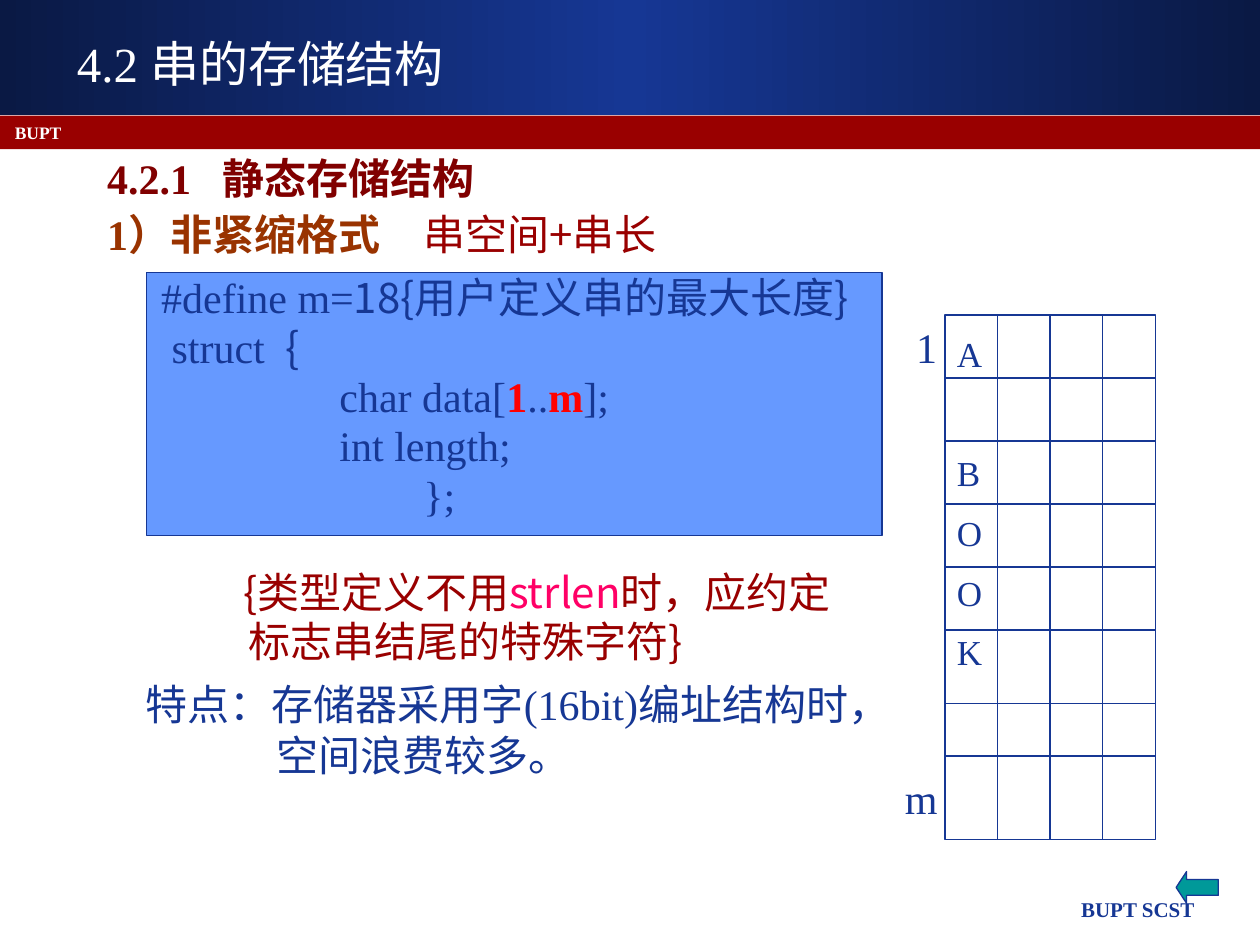
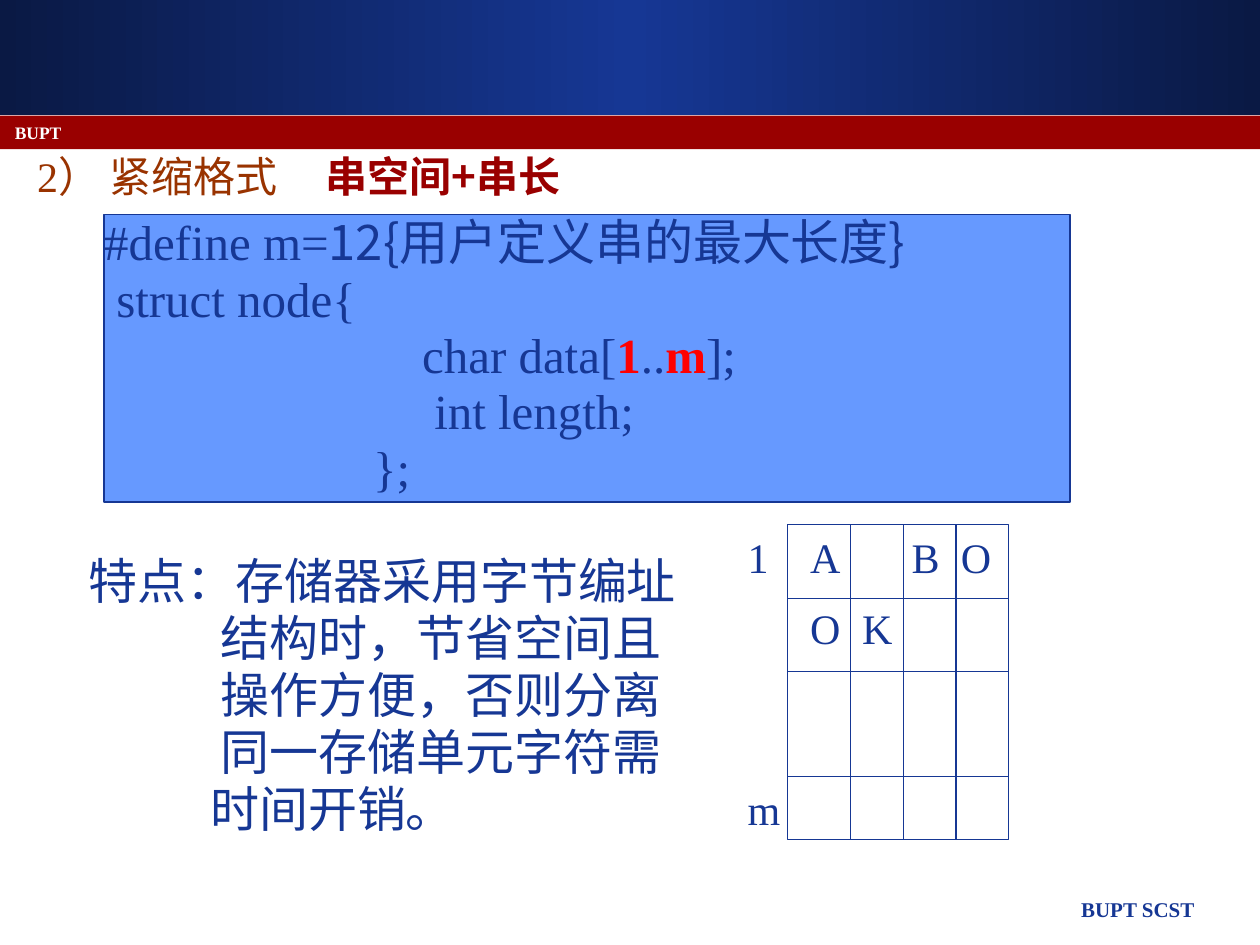
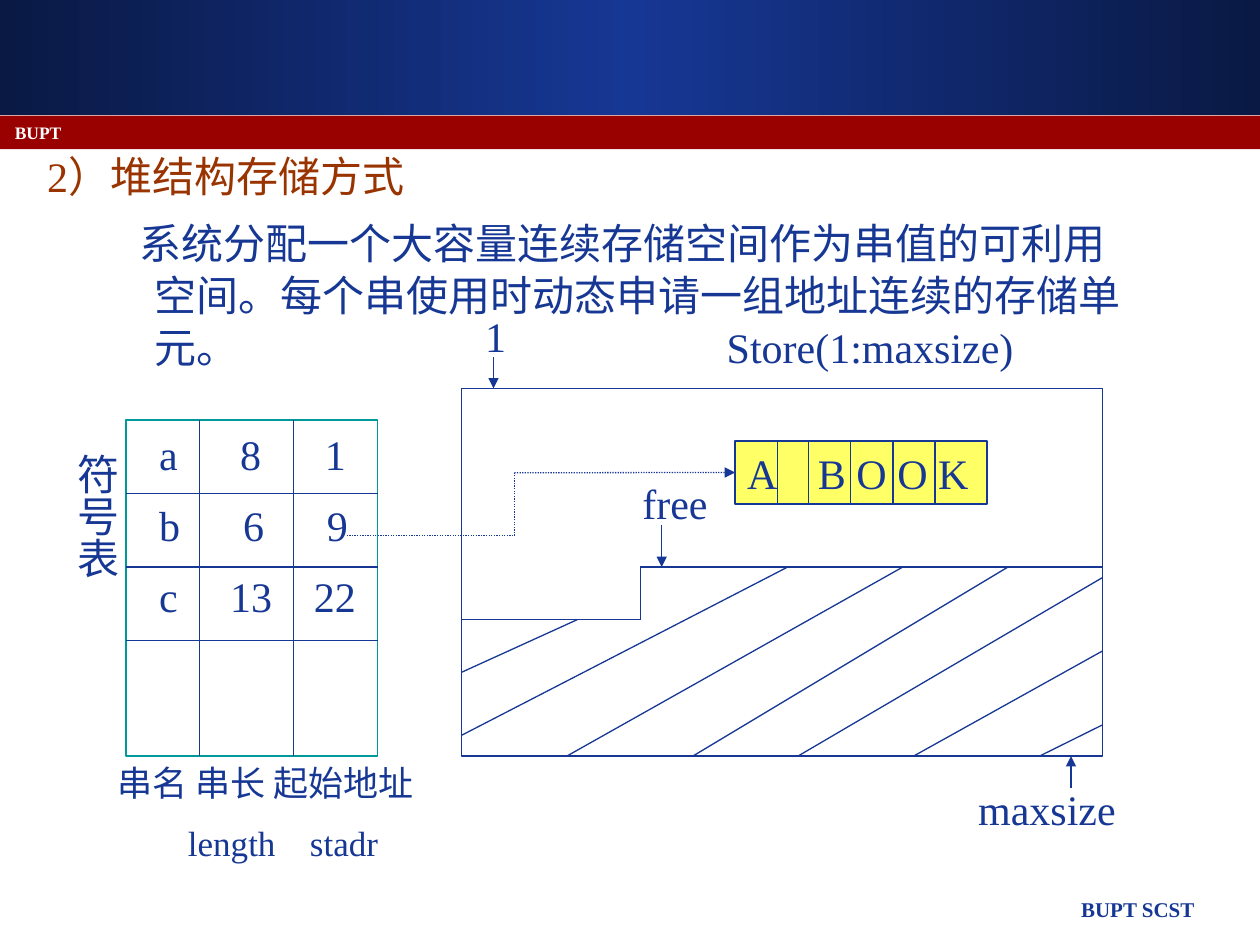
"""Builds three slides on how strings are stored: loose, packed and heap formats."""
from copy import deepcopy
from itertools import accumulate
from lxml import etree
from pptx import Presentation
from pptx import util as u
from pptx.dml.color import RGBColor
from pptx.enum import dml, shapes, text
from pptx.oxml.ns import qn

COLORS = {
    "ink": "163794", "navy": "0A1944", "white": "FFFFFF", "band": "990000",
    "maroon": "800000", "brown": "993300", "red": "FF0000", "pink": "FF0066",
    "code": "6699FF", "yellow": "FFFF66", "teal": "009999",
}
RGB = {name: RGBColor.from_string(value) for name, value in COLORS.items()}
SERIF, SANS = "Times New Roman", "Noto Sans CJK SC"
RUN_STYLE = ("ink", False, SERIF)
MIDDLE = text.MSO_ANCHOR.MIDDLE


def write(frame, paragraphs, size, spacing=None, anchor=text.MSO_ANCHOR.TOP,
          align=text.PP_ALIGN.LEFT, tabs=(), hang=0, inset=0):
    """Fill a text frame; a run is (text, color, bold, font) with trailing defaults."""
    frame.word_wrap = True
    frame.vertical_anchor = anchor
    frame.margin_left = u.Cm(inset)
    frame.margin_top = frame.margin_right = frame.margin_bottom = 0
    for index, runs in enumerate(paragraphs):
        paragraph = frame.add_paragraph() if index else frame.paragraphs[0]
        paragraph.alignment = align
        if spacing:
            paragraph.line_spacing = u.Pt(spacing)
        properties = paragraph._p.get_or_add_pPr()
        if hang:
            properties.set("marL", str(u.Cm(hang)))
            properties.set("indent", str(0 if index else -u.Cm(hang)))
        if tabs:
            tab_list = etree.SubElement(properties, qn("a:tabLst"))
            for position in tabs:
                etree.SubElement(tab_list, qn("a:tab"), pos=str(u.Cm(position)), algn="l")
        for words, *style in runs:
            color, bold, font = (*style, *RUN_STYLE[len(style):])
            run = paragraph.add_run()
            run.text = words
            run.font.size = u.Pt(size)
            run.font.bold = bold
            run.font.name = font
            run.font.color.rgb = RGB[color]
            etree.SubElement(run._r.get_or_add_rPr(), qn("a:ea"), typeface=SANS)


def add_outlined(slide, box, fill=None, outline="ink", kind=shapes.MSO_SHAPE.RECTANGLE):
    """Add a shape with an optional fill and a thin outline; None leaves either out."""
    shape = slide.shapes.add_shape(kind, *map(u.Cm, box))
    shape.shadow.inherit = False
    if fill:
        shape.fill.solid()
        shape.fill.fore_color.rgb = RGB[fill]
    else:
        shape.fill.background()
    if outline:
        shape.line.color.rgb = RGB[outline]
        shape.line.width = u.Pt(0.75)
    else:
        shape.line.fill.background()
    return shape


presentation = Presentation()
presentation.slide_width, presentation.slide_height = u.Cm(25.4), u.Cm(19.05)

titles = [
    ((1.55, 0.53, 21, 1.47), 28, [("4.2 串的存储结构", "white")], ()),
    ((0.75, 3.12, 23, 0.84), 24,
     [("2） 紧缩格式\t", "brown"), ("串空间+串长", "band", True, SANS)], (5.81,)),
    ((0.95, 3.12, 23, 0.84), 24, [("2）堆结构存储方式", "brown")], ()),
]
slides = []
for box, size, title, tabs in titles:
    slide = presentation.slides.add_slide(presentation.slide_layouts[6])
    slides.append(slide)
    header = add_outlined(slide, (0, 0, 25.4, 2.32), outline=None)
    header.fill.gradient()
    header.fill.gradient_angle = 0
    edge, center = header.fill.gradient_stops
    edge.color.rgb, center.color.rgb = RGB["navy"], RGB["ink"]
    edge.position, center.position = 0, 0.5
    stop_list = header._element.spPr.find(".//" + qn("a:gsLst"))
    right_edge = deepcopy(stop_list[0])
    right_edge.set("pos", "100000")
    stop_list.append(right_edge)
    add_outlined(slide, (0, 2.33, 25.4, 0.68), fill="band", outline=None)
    footer = slide.shapes.add_textbox(u.Cm(14), u.Cm(17.98), u.Cm(10.08), u.Cm(0.7))
    write(footer.text_frame, [[("BUPT SCST", "ink", True)]], 12, anchor=MIDDLE,
          align=text.PP_ALIGN.RIGHT)
    school = slide.shapes.add_textbox(u.Cm(0.3), u.Cm(2.36), u.Cm(10), u.Cm(0.64))
    write(school.text_frame, [[("BUPT", "white", True)]], 10, anchor=MIDDLE)
    heading = slide.shapes.add_textbox(*map(u.Cm, box))
    write(heading.text_frame, [title], size, anchor=MIDDLE, tabs=tabs)
loose, packed, heap = slides

data_members = [("1", "red", True), ("..",), ("m", "red", True), ("];",)]
code_blocks = [
    (loose, (2.96, 5.5, 14.82, 5.29), 24, 28.2, 0.29, [
        [("#define m=",), ("18{用户定义串的最大长度}", "ink", False, SANS)],
        [(" struct  ",), ("{", "ink", False, SANS)],
        [("                 char data[",), *data_members],
        [("                 int length;",)],
        [("                         };",)],
    ]),
    (packed, (2.1, 4.32, 19.47, 5.8), 28, 32.2, 0, [
        [("#define m=",), ("12{用户定义串的最大长度}", "ink", False, SANS)],
        [(" struct node{",)],
        [("                          char data[",), *data_members],
        [("                           int length;",)],
        [("                      };",)],
    ]),
]
for slide, box, size, spacing, inset, code in code_blocks:
    block = add_outlined(slide, box, fill="code")
    write(block.text_frame, code, size, spacing, inset=inset)

passages = [
    (loose, (2.16, 2.97, 18, 2.3), 24, 32, (2.32, 6.37), 0, [
        [("4.2.1\t静态存储结构", "maroon", True)],
        [("1）非紧缩格式\t", "brown", True), ("串空间+串长", "band", False, SANS)],
    ]),
    (loose, (4.9, 11.46, 13.5, 2), 24, 27.8, (), 0.12, [
        [("{类型定义不用", "band", False, SANS), ("strlen", "pink", False, SANS),
         ("时，应约定", "band", False, SANS)],
        [("标志串结尾的特殊字符}", "band", False, SANS)],
    ]),
    (loose, (2.94, 13.65, 15.8, 2.1), 24, 29.4, (), 2.64, [
        [("特点：存储器采用字(16bit)编址结构时，",)],
        [("空间浪费较多。",)],
    ]),
    (packed, (1.79, 11.13, 13, 4.6), 28, 32.6, (), 2.66, [
        [("特点：存储器采用字节编址",)],
        [("结构时，节省空间且",)],
        [("操作方便，否则分离",)],
        [("同一存储单元字符需",)],
    ]),
    (packed, (4.24, 15.73, 10, 1.15), 28, 32.6, (), 0, [[("时间开销。",)]]),
    (heap, (2.82, 4.36, 20, 3.2), 24, 29.7, (), 0.3, [
        [("系统分配一个大容量连续存储空间作为串值的可利用空间。"
          "每个串使用时动态申请一组地址连续的存储单元。",)],
    ]),
]
for slide, box, size, spacing, tabs, hang, paragraphs in passages:
    passage = slide.shapes.add_textbox(*map(u.Cm, box))
    write(passage.text_frame, paragraphs, size, spacing, tabs=tabs, hang=hang)

add_outlined(heap, (9.31, 7.83, 12.92, 7.41))
add_outlined(loose, (23.71, 17.57, 0.85, 0.64), fill="teal",
             kind=shapes.MSO_SHAPE.LEFT_ARROW).adjustments[1] = 0.33

grids = [
    (loose, 19.05, 6.35, [1.06] * 4, [1.27] * 5 + [1.48, 1.06, 1.69], None, "ink"),
    (packed, 15.88, 10.58, [1.27] + [1.06] * 3, [1.48, 1.48, 2.12, 1.27], None, "ink"),
    (heap, 2.54, 8.47, [1.48, 1.9, 1.69], [1.48] * 3 + [2.33], None, "teal"),
    (heap, 14.82, 8.89, [0.85, 0.63, 0.85, 0.85, 0.85, 1.05], [1.27], "yellow", "ink"),
]
dividers = []
for slide, left, top, widths, heights, fill, outline in grids:
    right, bottom = left + sum(widths), top + sum(heights)
    frame = add_outlined(slide, (left, top, sum(widths), sum(heights)), fill, outline)
    dividers += [(slide, (x, top, x, bottom))
                 for x in list(accumulate(widths, initial=left))[1:-1]]
    dividers += [(slide, (left, y, right, y))
                 for y in list(accumulate(heights, initial=top))[1:-1]]
book = frame
write(book.text_frame, [[("A\tB O O K",)]], 24, anchor=MIDDLE, tabs=(1.43,), inset=0.24)

labels = [
    (loose, "1", 18.47, 6.35, 24), (loose, "m", 18.24, 15.45, 24),
    (packed, "1", 15.07, 10.58, 24), (packed, "m", 15.07, 15.67, 24),
    (heap, "Store(1:maxsize)", 14.65, 6.35, 24), (heap, "free", 12.95, 9.5, 24),
    (heap, "1", 9.78, 6.13, 24), (heap, "maxsize", 19.72, 15.67, 24),
    (heap, "串名 串长 起始地址", 2.37, 15.14, 20),
    (heap, "length", 3.79, 16.34, 20), (heap, "stadr", 6.25, 16.34, 20),
]
labels += [(loose, letter, 19.29, 6.5 + 1.2 * row, 20)
           for row, letter in enumerate("A BOOK") if letter != " "]
labels += [(packed, letter, left, top, 24) for letter, left, top in [
    ("A", 16.33, 10.58), ("B", 18.38, 10.58), ("O", 19.37, 10.58),
    ("O", 16.33, 12.01), ("K", 17.38, 12.01)]]
symbol_rows = [
    [("a", 3.21), ("8", 4.84), ("1", 6.55)],
    [("b", 3.21), ("6", 4.9), ("9", 6.59)],
    [("c", 3.21), ("13", 4.64), ("22", 6.33)],
]
labels += [(heap, value, left, 8.52 + 1.43 * row, 24)
           for row, entries in enumerate(symbol_rows) for value, left in entries]
for slide, words, left, top, size in labels:
    width = 1 if len(words) < 3 else 6.35
    label = slide.shapes.add_textbox(u.Cm(left), u.Cm(top), u.Cm(width), u.Cm(1.27))
    write(label.text_frame, [[(words,)]], size, anchor=MIDDLE)
table_name = heap.shapes.add_textbox(u.Cm(1.46), u.Cm(9.15), u.Cm(1), u.Cm(4))
write(table_name.text_frame, [[("符号表",)]], 24, anchor=MIDDLE)
table_name.text_frame._txBody.bodyPr.set("vert", "eaVert")

free_edge = [(9.31, 12.49, 12.91, 12.49), (12.91, 12.49, 12.91, 11.43),
             (12.91, 11.43, 22.23, 11.43)]
hatching = [(9.31, 13.55, 11.64, 12.49), (9.31, 14.82, 15.88, 11.43),
            (11.43, 15.24, 18.2, 11.43), (13.97, 15.24, 20.32, 11.43),
            (16.09, 15.24, 22.23, 11.64), (18.42, 15.24, 22.23, 13.12),
            (20.96, 15.24, 22.23, 14.61)]
markers = [(13.34, 10.58, 13.34, 11.43), (9.95, 7.2, 9.95, 7.83),
           (21.59, 15.88, 21.59, 15.24)]
address_link = [(6.99, 10.8, 10.37, 10.8), (10.37, 10.8, 10.37, 9.53),
                (10.37, 9.53, 14.82, 9.53)]
heap_lines = [(heap, ends) for ends in free_edge + hatching + markers + address_link]
for slide, ends in dividers + heap_lines:
    line = slide.shapes.add_connector(shapes.MSO_CONNECTOR.STRAIGHT, *map(u.Cm, ends))
    line.line.color.rgb = RGB["ink"]
    line.line.width = u.Pt(0.75)
    if ends in address_link:
        line.line.dash_style = dml.MSO_LINE.ROUND_DOT
    if ends in markers or ends == address_link[-1]:
        etree.SubElement(line.line._get_or_add_ln(), qn("a:tailEnd"), type="triangle")
    if ends == address_link[-1]:
        line.end_connect(book, 1)
    etree.SubElement(line._element.spPr, qn("a:effectLst"))

presentation.save("out.pptx")
